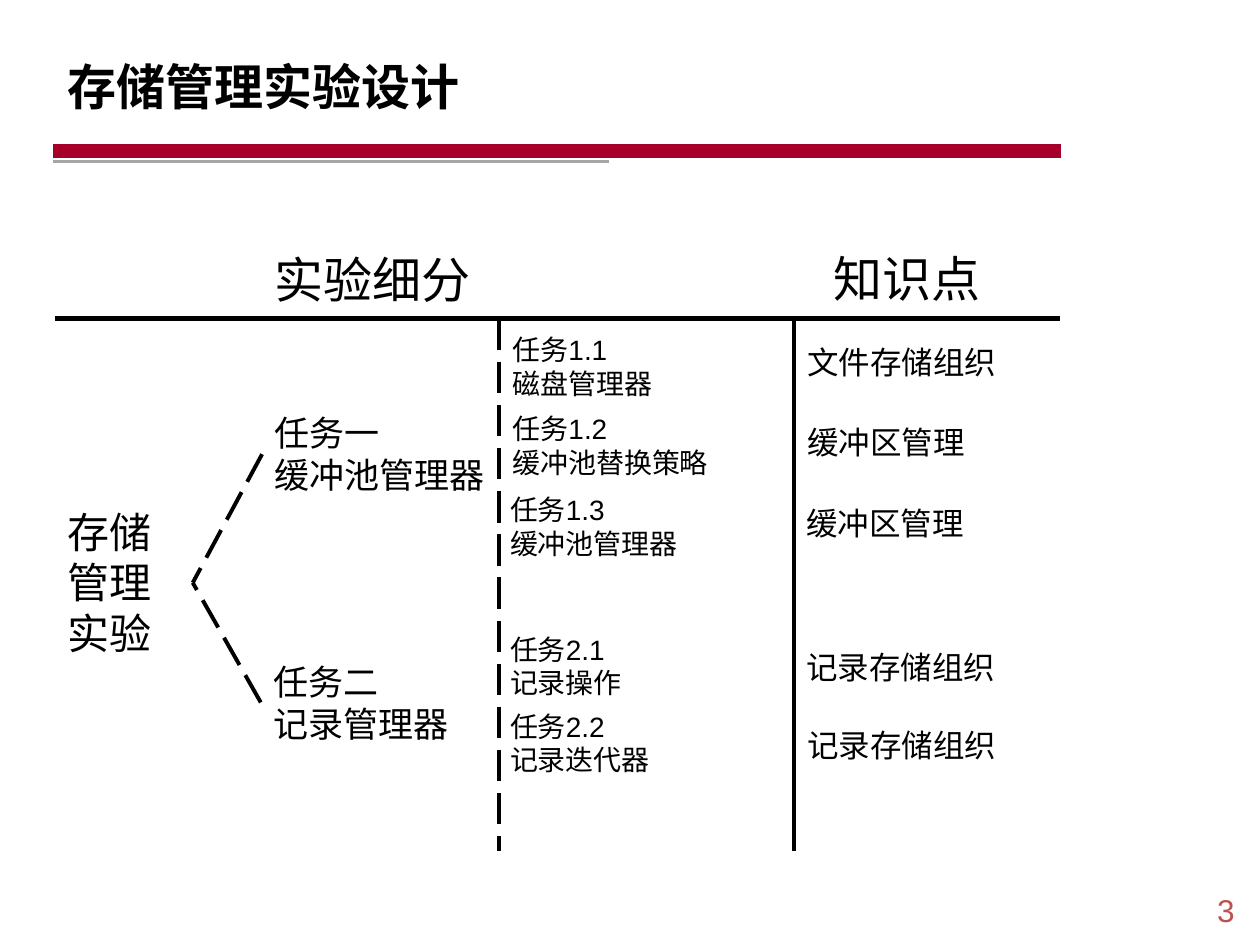
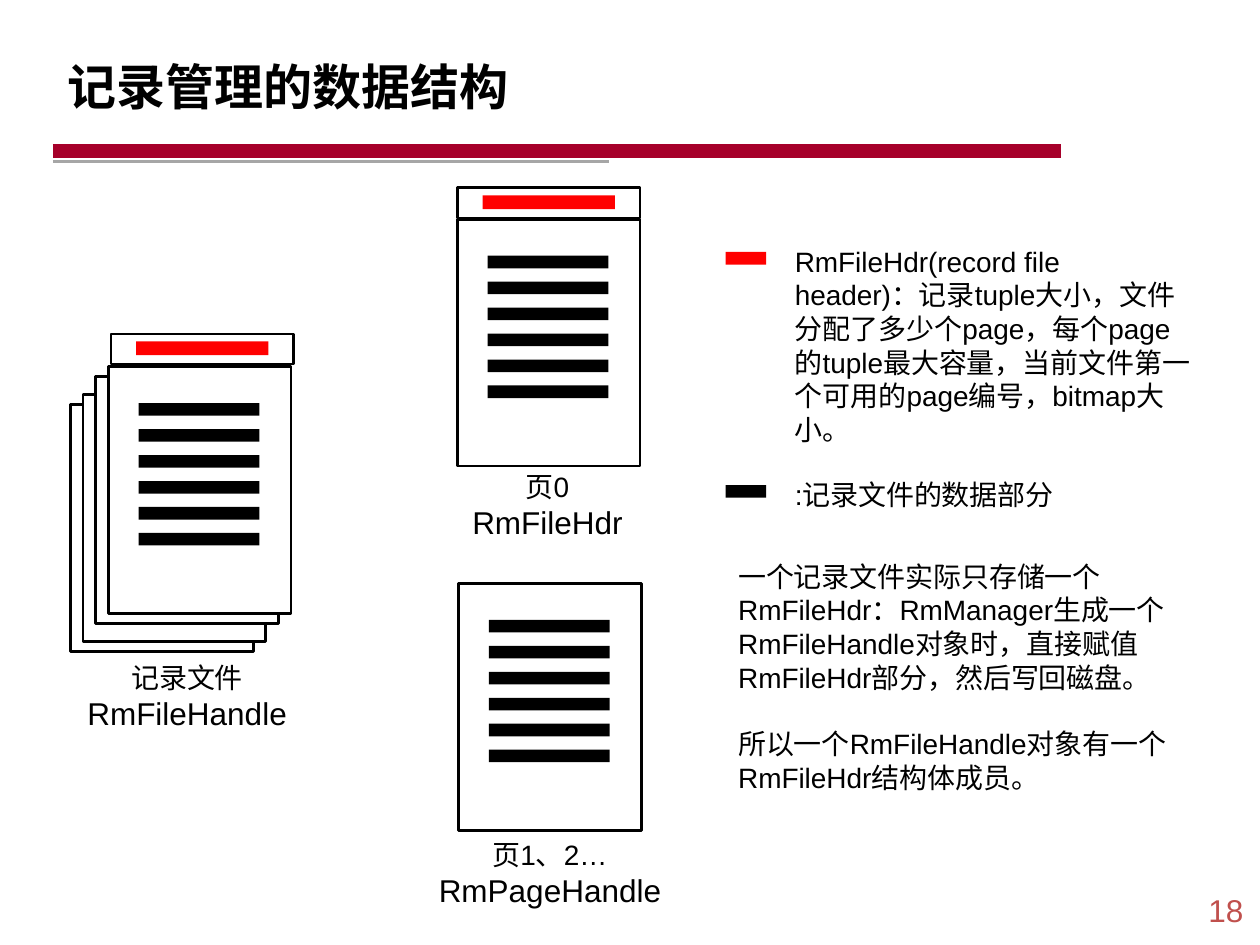
from dataclasses import dataclass

from lxml import etree
from pptx import Presentation
from pptx.dml.color import RGBColor
from pptx.enum.dml import MSO_LINE
from pptx.enum.shapes import MSO_CONNECTOR, MSO_SHAPE
from pptx.enum.text import MSO_ANCHOR, MSO_AUTO_SIZE, PP_ALIGN
from pptx.oxml.ns import qn
from pptx.util import Inches, Pt

LEFT, CENTER = PP_ALIGN.LEFT, PP_ALIGN.CENTER
TOP, MIDDLE = MSO_ANCHOR.TOP, MSO_ANCHOR.MIDDLE
GROW, FIXED = MSO_AUTO_SIZE.SHAPE_TO_FIT_TEXT, MSO_AUTO_SIZE.NONE
RECTANGLE, STRAIGHT = MSO_SHAPE.RECTANGLE, MSO_CONNECTOR.STRAIGHT
LONG_DASH = MSO_LINE.LONG_DASH
LEFT_SIDE, RIGHT_SIDE = 1, 3


@dataclass(frozen=True)
class Theme:
    ink: str = "000000"
    paper: str = "FFFFFF"
    band: str = "A6002A"
    rule: str = "A6A6A6"
    number: str = "C0504D"
    header: str = "FF0000"
    font: str = "Arial"
    cjk_font: str = "Noto Sans CJK SC"
    heading: int = 28
    root: int = 24
    task: int = 20
    label: int = 18
    body: int = 16
    blank_line: int = 19


THEME = Theme()
WIDTH, HEIGHT = 10, 7.5

DESIGN_TITLE, DESIGN_NUMBER = "存储管理实验设计", "3"
RECORD_TITLE, RECORD_NUMBER = "记录管理的数据结构", "18"

HEADINGS = [("实验细分", 2.08, 1.93, 1.89), ("知识点", 6.52, 1.92, 1.43)]
ROOT = ["存储", "管理", "实验"]
TASKS = [
    (["任务一", "缓冲池管理器"], 2.08, 3.22),
    (["任务二", "记录管理器"], 2.07, 5.19),
]
SUBTASKS = [
    (["任务1.1", "磁盘管理器"], 3.97, 2.59, "文件存储组织", 6.31, 2.67),
    (["任务1.2", "缓冲池替换策略"], 3.97, 3.22, "缓冲区管理", 6.31, 3.31),
    (["任务1.3", "缓冲池管理器"], 3.95, 3.86, "缓冲区管理", 6.3, 3.95),
    (["任务2.1", "记录操作"], 3.95, 4.97, "记录存储组织", 6.3, 5.09),
    (["任务2.2", "记录迭代器"], 3.95, 5.58, "记录存储组织", 6.31, 5.71),
]
TABLE_TOP, TABLE_BOTTOM = 2.53, 6.75
COLUMN_RULES = [(3.96, LONG_DASH), (6.3, None)]

CAPTIONS = [
    (["记录文件", "RmFileHandle"], 0.43, 5.19),
    (["页0", "RmFileHdr"], 3.29, 3.68),
    (["页1、2…", "RmPageHandle"], 3.31, 6.6),
]
LEGEND = [
    (
        "RmFileHdr(record file header)：记录tuple大小，文件分配了多少个page，"
        "每个page的tuple最大容量，当前文件第一个可用的page编号，bitmap大小。",
        THEME.header, 1.89, 1.45,
    ),
    (":记录文件的数据部分", THEME.ink, 3.74, 0.37),
]
EXPLANATION = [
    "一个记录文件实际只存储一个RmFileHdr：RmManager生成一个RmFileHandle对象时，"
    "直接赋值RmFileHdr部分，然后写回磁盘。",
    "所以一个RmFileHandle对象有一个RmFileHdr结构体成员。",
]
PAGE_WIDTH, PAGE_HEIGHT, HEADER_HEIGHT = 1.45, 1.96, 0.24
RECORD_COUNT, RECORD_STEP = 6, 0.206
BACK_PAGES = [(0.56, 3.21), (0.66, 3.13), (0.76, 2.99)]
DATA_PAGES = [(0.86, 2.91), (3.63, 1.74), (3.64, 4.63)]
HEADERS = [(0.88, 2.65), (3.63, 1.49)]


def color(value):
    return RGBColor.from_string(value)


def add_text(slide, text, left, top, width, height, *, size=THEME.body,
             ink=THEME.ink, font=THEME.font, bold=False, align=LEFT,
             anchor=TOP, fit=GROW, gap=0):
    lines = [text] if isinstance(text, str) else text
    sizes = size if isinstance(size, list) else [size] * len(lines)
    box = slide.shapes.add_textbox(*map(Inches, (left, top, width, height)))
    frame = box.text_frame
    frame.word_wrap = True
    frame.auto_size = fit
    frame.vertical_anchor = anchor
    for index, (line, points) in enumerate(zip(lines, sizes)):
        paragraph = frame.add_paragraph() if index else frame.paragraphs[0]
        paragraph.alignment = align
        paragraph.space_before = Pt(gap if index else 0)
        run = paragraph.add_run()
        run.text = line
        run.font.size = Pt(points)
        run.font.bold = bold
        run.font.name = font
        run.font.color.rgb = color(ink)
        east_asian = etree.SubElement(run.font._element, qn("a:ea"))
        east_asian.set("typeface", THEME.cjk_font)
    return box


def add_line(slide, start, end, weight, ink=THEME.ink, dash=None):
    line = slide.shapes.add_connector(
        STRAIGHT, *map(Inches, (*start, *end)))
    line.line.color.rgb = color(ink)
    line.line.width = Pt(weight)
    if dash:
        line.line.dash_style = dash
    etree.SubElement(line._element.spPr, qn("a:effectLst"))
    return line


def add_rectangle(slide, left, top, width, height, fill, outline=None):
    shape = slide.shapes.add_shape(
        RECTANGLE, *map(Inches, (left, top, width, height)))
    shape.shadow.inherit = False
    shape.fill.solid()
    shape.fill.fore_color.rgb = color(fill)
    if outline:
        shape.line.color.rgb = color(outline)
        shape.line.width = Pt(1.5)
    else:
        shape.line.fill.background()
    return shape


def add_base(presentation, title, number):
    slide = presentation.slides.add_slide(presentation.slide_layouts[6])
    add_line(slide, (0.42, 1.2), (8.42, 1.2), 8, THEME.band)
    add_line(slide, (0.42, 1.28), (4.83, 1.28), 1.8, THEME.rule)
    add_text(slide, number, WIDTH - 0.54, 7.02, 0.54, 0.4,
             size=THEME.label, ink=THEME.number, align=CENTER)
    add_text(slide, title, 0.44, 0.25, 8.62, 0.86, size=THEME.heading,
             font=THEME.cjk_font, bold=True, anchor=MIDDLE, fit=FIXED)
    return slide


def build_design(presentation):
    slide = add_base(presentation, DESIGN_TITLE, DESIGN_NUMBER)
    add_line(slide, (0.44, TABLE_TOP), (8.41, TABLE_TOP), 3)
    for x, dash in COLUMN_RULES:
        add_line(slide, (x, TABLE_TOP), (x, TABLE_BOTTOM), 2.25, dash=dash)
    for text, left, top, width in HEADINGS:
        add_text(slide, text, left, top, width, 0.57, size=THEME.heading)
    for lines, left, top, topic, topic_left, topic_top in SUBTASKS:
        add_text(slide, lines, left, top, 2.21, 0.64)
        add_text(slide, topic, topic_left, topic_top, 2.68, 0.4,
                 size=THEME.label)
    root = add_text(slide, ROOT, 0.44, 3.97, 1.09, 1.31, size=THEME.root)
    for lines, left, top in TASKS:
        task = add_text(slide, lines, left, top, 1.89, 0.77, size=THEME.task)
        branch = add_line(slide, (left, top), (1.53, 4.63), 2.25,
                          dash=LONG_DASH)
        branch.begin_connect(task, LEFT_SIDE)
        branch.end_connect(root, RIGHT_SIDE)


def add_page(slide, left, top, records=0):
    add_rectangle(slide, left, top, PAGE_WIDTH, PAGE_HEIGHT,
                  THEME.paper, THEME.ink)
    for row in range(records):
        add_rectangle(slide, left + 0.24, top + 0.29 + row * RECORD_STEP,
                      0.96, 0.1, THEME.ink)


def add_header(slide, left, top):
    add_rectangle(slide, left, top, PAGE_WIDTH, HEADER_HEIGHT,
                  THEME.paper, THEME.ink)
    add_rectangle(slide, left + 0.2, top + 0.06, 1.05, 0.11, THEME.header)


def build_records(presentation):
    slide = add_base(presentation, RECORD_TITLE, RECORD_NUMBER)
    for lines, left, top in CAPTIONS:
        add_text(slide, lines, left, top, 2.11, 0.67,
                 size=[THEME.body, THEME.label], align=CENTER)
    for text, fill, top, height in LEGEND:
        add_rectangle(slide, 5.76, top + 0.11, 0.32, 0.1, fill)
        add_text(slide, text, 6.21, top, 3.34, height)
    for left, top in BACK_PAGES:
        add_page(slide, left, top)
    for left, top in DATA_PAGES:
        add_page(slide, left, top, RECORD_COUNT)
    for left, top in HEADERS:
        add_header(slide, left, top)
    add_text(slide, EXPLANATION, 5.76, 4.39, 3.79, 1.99,
             gap=THEME.blank_line)


def main():
    presentation = Presentation()
    presentation.slide_width = Inches(WIDTH)
    presentation.slide_height = Inches(HEIGHT)
    build_design(presentation)
    build_records(presentation)
    presentation.save("out.pptx")


if __name__ == "__main__":
    main()
